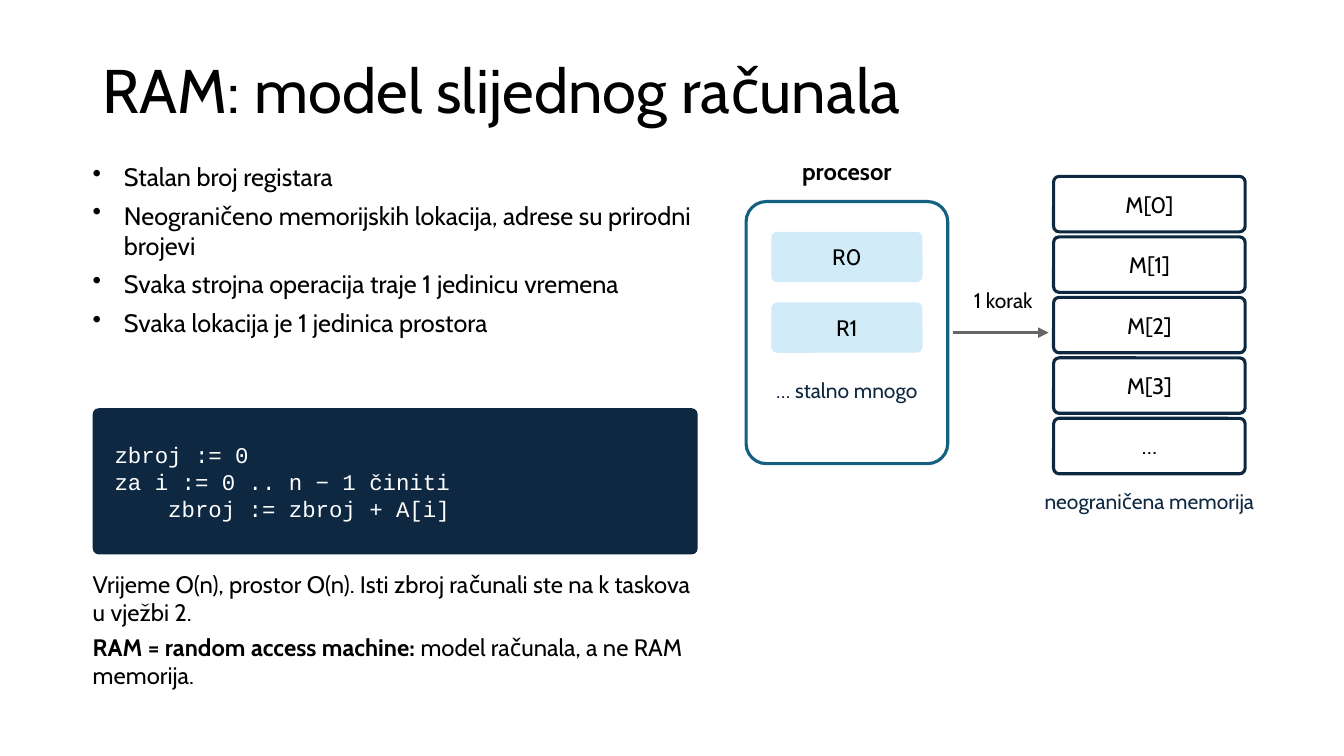
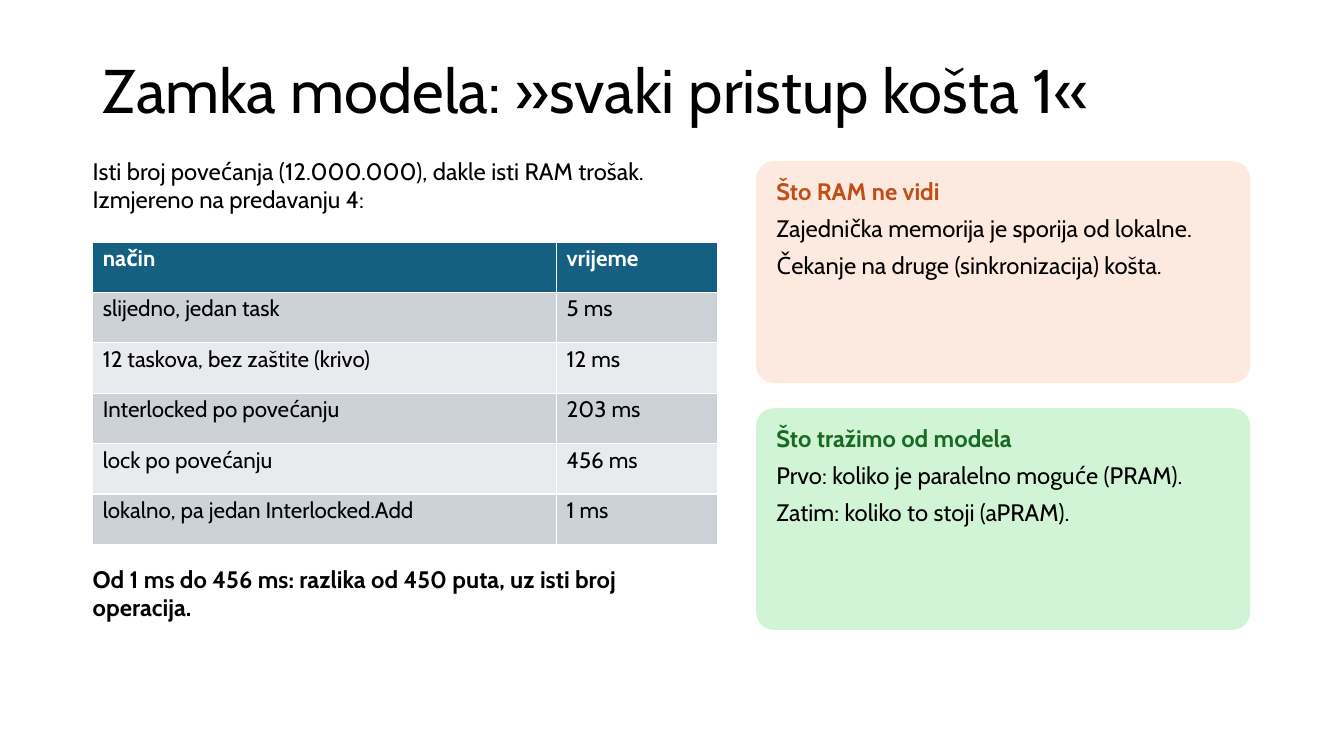
from lxml.etree import SubElement
from pptx import Presentation
from pptx.dml.color import RGBColor
from pptx.enum.shapes import MSO_CONNECTOR, MSO_SHAPE
from pptx.enum.text import MSO_ANCHOR, MSO_AUTO_SIZE, PP_ALIGN
from pptx.oxml.ns import qn
from pptx.util import Pt

PX = 9144
FONT, MONO = "Cabin", "Courier New"
BLACK, WHITE, NAVY, TEAL = "000000", "FFFFFF", "0E2841", "156082"
SKY, GRAY, RUST, GREEN = "D1EBF8", "666666", "C04F15", "196B24"
BANDS = ["CCD2D8", "E8EAED"]
LEFT = 92

TITLES = ["RAM: model slijednog računala", "Zamka modela: »svaki pristup košta 1«"]
POINTS = [
    "Stalan broj registara",
    "Neograničeno memorijskih lokacija, adrese su prirodni brojevi",
    "Svaka strojna operacija traje 1 jedinicu vremena",
    "Svaka lokacija je 1 jedinica prostora",
]
CODE = ["zbroj := 0", "za i := 0 .. n − 1 činiti", "    zbroj := zbroj + A[i]"]
NOTES = [
    "Vrijeme O(n), prostor O(n). Isti zbroj računali ste na k taskova u vježbi 2.",
    [("RAM = random access machine: ", True), ("model računala, a ne RAM memorija.", False)],
]
REGS = ["R0", "R1"]
CELLS = ["M[0]", "M[1]", "M[2]", "M[3]", "…"]
LABELS = [
    ("procesor", (740, 155, 200, 40), 17, BLACK, True),
    ("… stalno mnogo", (745, 375, 190, 70), 15, NAVY, False),
    ("1 korak", (940, 285, 110, 40), 15, BLACK, False),
    ("neograničena memorija", (1020, 485, 240, 70), 15, NAVY, False),
]
INTRO = "Isti broj povećanja (12.000.000), dakle isti RAM trošak. Izmjereno na predavanju 4:"
ROWS = [
    ("način", "vrijeme"),
    ("slijedno, jedan task", "5 ms"),
    ("12 taskova, bez zaštite (krivo)", "12 ms"),
    ("Interlocked po povećanju", "203 ms"),
    ("lock po povećanju", "456 ms"),
    ("lokalno, pa jedan Interlocked.Add", "1 ms"),
]
WIDTHS = [460, 160]
CLOSE = "Od 1 ms do 456 ms: razlika od 450 puta, uz isti broj operacija."
CARDS = [
    ("Što RAM ne vidi", RUST, "FCEAE0",
     ["Zajednička memorija je sporija od lokalne.", "Čekanje na druge (sinkronizacija) košta."]),
    ("Što tražimo od modela", GREEN, "D1F4D6",
     ["Prvo: koliko je paralelno moguće (PRAM).", "Zatim: koliko to stoji (aPRAM)."]),
]


def px(*vals):
    return [val * PX for val in vals]


def rgb(tone):
    return RGBColor.from_string(tone)


def write(frame, paras, size=17, tone=BLACK, font=FONT, bold=False, head=None,
          align=PP_ALIGN.LEFT, after=0, lead=None, bullet=False):
    for i, para in enumerate(paras):
        line = frame.add_paragraph() if i else frame.paragraphs[0]
        line.alignment = align
        line.space_after = Pt(after)
        if lead:
            line.line_spacing = lead
        if bullet:
            props = line._p.get_or_add_pPr()
            props.set("marL", str(31 * PX))
            props.set("indent", str(-31 * PX))
            SubElement(props, qn("a:buChar")).set("char", "•")
        top = head and i == 0
        for part, heavy in [(para, bold or bool(top))] if isinstance(para, str) else para:
            run = line.add_run()
            run.text = part
            run.font.name = font
            run.font.size = Pt(size)
            run.font.bold = heavy
            run.font.color.rgb = rgb(head if top else tone)


def inset(frame, pad, anchor=MSO_ANCHOR.TOP):
    frame.word_wrap = True
    frame.vertical_anchor = anchor
    (frame.margin_left, frame.margin_top,
     frame.margin_right, frame.margin_bottom) = px(*pad)


def label(slide, rect, paras, **style):
    frame = slide.shapes.add_textbox(*px(*rect)).text_frame
    inset(frame, (0, 0, 0, 0))
    write(frame, paras, **style)


def panel(slide, rect, fill, round, line=None, paras=(), pad=(0, 0, 0, 0), **style):
    box = slide.shapes.add_shape(MSO_SHAPE.ROUNDED_RECTANGLE, *px(*rect))
    box.adjustments[0] = round
    box.shadow.inherit = False
    box.fill.solid()
    box.fill.fore_color.rgb = rgb(fill)
    if line:
        box.line.color.rgb = rgb(line)
        box.line.width = Pt(2.25)
    else:
        box.line.fill.background()
    inset(box.text_frame, pad, MSO_ANCHOR.MIDDLE)
    write(box.text_frame, paras, **style)


def arrow(slide, start, end):
    link = slide.shapes.add_connector(MSO_CONNECTOR.STRAIGHT, *px(*start, *end))
    link.line.color.rgb = rgb(GRAY)
    link.line.width = Pt(2.5)
    SubElement(link.line._get_or_add_ln(), qn("a:tailEnd")).set("type", "triangle")
    SubElement(link._element.spPr, qn("a:effectLst"))


def begin(deck, text):
    slide = deck.slides.add_slide(deck.slide_layouts[5])
    title = slide.shapes.title
    title.left, title.top, title.width, title.height = px(LEFT, 40, 1150, 106)
    inset(title.text_frame, (10, 5, 10, 5), MSO_ANCHOR.MIDDLE)
    title.text_frame.auto_size = MSO_AUTO_SIZE.NONE
    write(title.text_frame, [text], size=44, lead=0.9)
    return slide


def model(slide):
    mid = PP_ALIGN.CENTER
    label(slide, (LEFT, 160, 600, 230), POINTS, size=18, after=6, bullet=True)
    panel(slide, (LEFT, 405, 600, 145), NAVY, 0.04, paras=CODE, pad=(20, 5, 10, 5),
          size=16, tone=WHITE, font=MONO)
    label(slide, (LEFT, 565, 600, 110), NOTES, after=4)
    panel(slide, (740, 200, 200, 260), WHITE, 0.1, TEAL)
    for i, name in enumerate(REGS):
        panel(slide, (765, 230 + 70 * i, 150, 50), SKY, 0.12, paras=[name],
              pad=(5, 2, 5, 2), size=16, align=mid)
    arrow(slide, (945, 330), (1040, 330))
    for i, name in enumerate(CELLS):
        panel(slide, (1045, 175 + 60 * i, 190, 55), WHITE, 0.1, NAVY, [name],
              (3, 5, 3, 5), size=16, align=mid)
    for text, rect, size, tone, bold in LABELS:
        label(slide, rect, [text], size=size, tone=tone, bold=bold, align=mid)


def chart(slide):
    high = 50
    rect = px(LEFT, 240, sum(WIDTHS), high * len(ROWS))
    table = slide.shapes.add_table(len(ROWS), len(WIDTHS), *rect).table
    for col, wide in zip(table.columns, WIDTHS):
        col.width = wide * PX
    for r, row in enumerate(ROWS):
        table.rows[r].height = high * PX
        for c, text in enumerate(row):
            cell = table.cell(r, c)
            cell.fill.solid()
            cell.fill.fore_color.rgb = rgb(BANDS[(r - 1) % 2] if r else TEAL)
            cell.margin_left, cell.margin_right = px(10, 10)
            cell.margin_top, cell.margin_bottom = px(3, 3)
            write(cell.text_frame, [text], size=16, tone=BLACK if r else WHITE, bold=r == 0)


def trap(slide):
    label(slide, (LEFT, 155, 620, 80), [INTRO])
    chart(slide)
    for i, (head, tone, fill, lines) in enumerate(CARDS):
        top = 160 + 245 * i
        panel(slide, (750, top, 490, 220), fill, 0.08)
        label(slide, (770, top + 15, 450, 200), [head, *lines], head=tone, after=6)
    label(slide, (LEFT, 560, 620, 100), [CLOSE], bold=True)


def main():
    deck = Presentation()
    deck.slide_width, deck.slide_height = px(1333, 750)
    for text, draw in zip(TITLES, [model, trap]):
        draw(begin(deck, text))
    deck.save("out.pptx")


if __name__ == "__main__":
    main()
